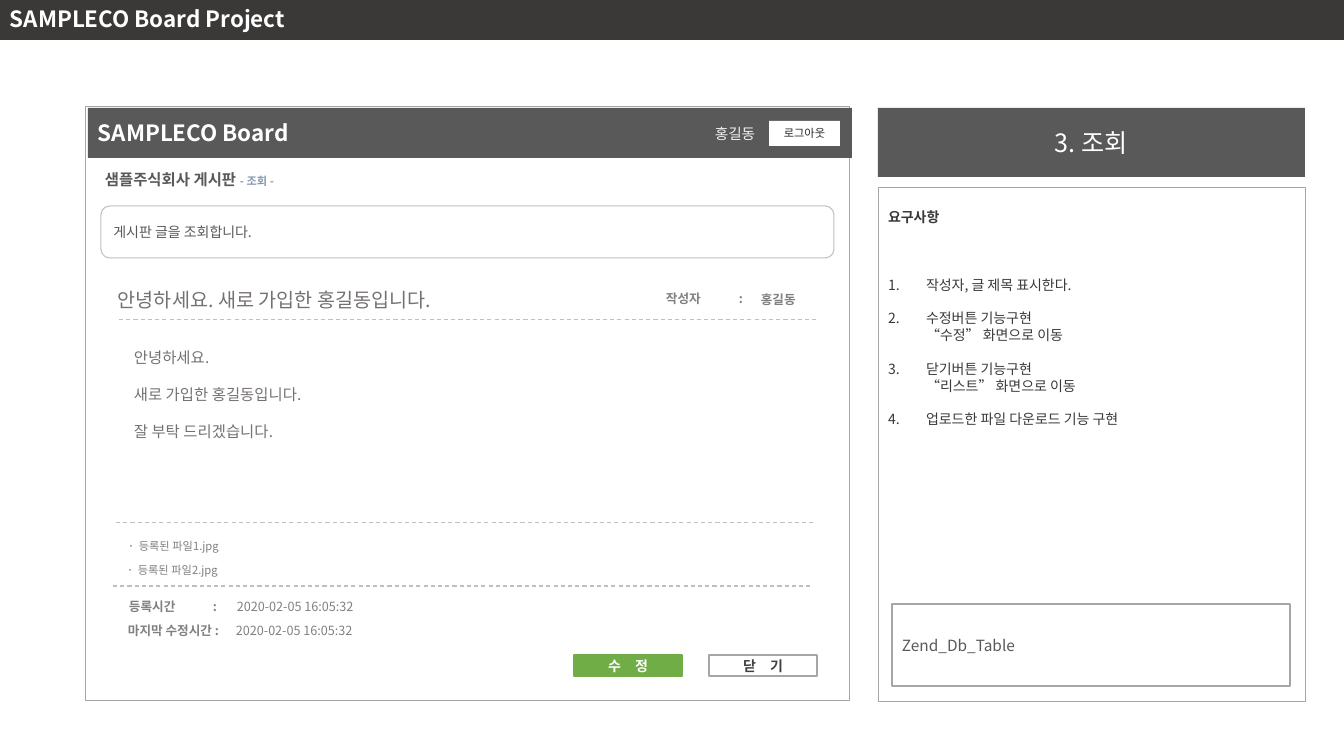
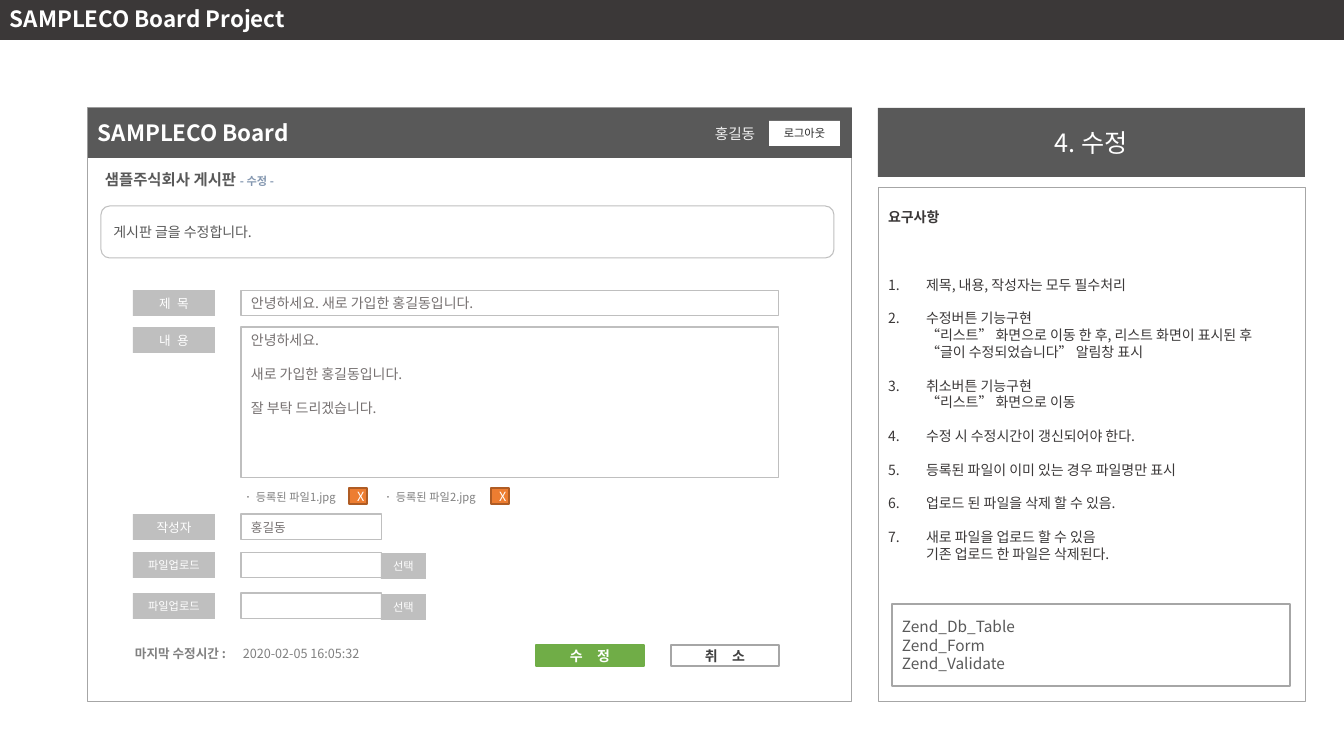
from dataclasses import dataclass

from lxml.etree import SubElement
from pptx import Presentation
from pptx.dml.color import RGBColor
from pptx.enum.dml import MSO_LINE
from pptx.enum.shapes import MSO_CONNECTOR, MSO_SHAPE
from pptx.enum.text import MSO_ANCHOR, MSO_AUTO_SIZE, PP_ALIGN
from pptx.oxml.ns import qn
from pptx.util import Inches, Pt

SCALE = Inches(1) / 100.8
LINE_HEIGHT = 1.2
LIST_INDENT = 38


@dataclass(frozen=True)
class Theme:
    """Colours, font and type sizes shared by the slides."""
    font: str = "Noto Sans CJK KR"
    white: str = "FFFFFF"
    pale: str = "F2F2F2"
    silver: str = "BFBFBF"
    border: str = "A6A6A6"
    muted: str = "808080"
    article: str = "767171"
    header: str = "595959"
    strong: str = "404040"
    ink: str = "3B3838"
    dark: str = "262626"
    crumb: str = "8497B0"
    accent: str = "70AD47"
    delete: str = "ED7D31"
    delete_edge: str = "AF5C24"
    tiny: float = 8
    small: float = 9
    normal: float = 10
    user: float = 10.5
    medium: float = 11
    headline: float = 14
    brand: float = 16
    title: float = 18


T = Theme()


def px(value):
    """Turn pixels into EMU."""
    return round(value * SCALE)


def style(size, color, bold=False):
    """Return the format values of a run."""
    return {"size": Pt(size), "bold": bold, "name": T.font, "color": color}


def format_run(r, fmt, tracking=0):
    """Apply format values, the East Asian font and letter spacing."""
    for name, value in fmt.items():
        if name == "color":
            r.font.color.rgb = RGBColor.from_string(value)
        else:
            setattr(r.font, name, value)
    r_pr = r._r.get_or_add_rPr()
    SubElement(r_pr, qn("a:ea"), typeface=T.font)
    if tracking:
        r_pr.set("spc", str(round(tracking * 100)))


def add_paragraph(tf, text, fmt, first=False, align=PP_ALIGN.LEFT, before=0,
                  after=0, tracking=0):
    """Write a paragraph; a list of (text, format) pairs gives mixed runs."""
    p = tf.paragraphs[0] if first else tf.add_paragraph()
    values = {"alignment": align, "space_before": Pt(before), "space_after": Pt(after)}
    for name, value in values.items():
        setattr(p, name, value)
    if isinstance(text, list):
        for part, part_fmt in text:
            r = p.add_run()
            r.text = part
            format_run(r, part_fmt)
        return p
    p.text = text
    for r in p.runs:
        format_run(r, fmt, tracking)
    for br in p._p.findall(qn("a:br")):
        SubElement(br, qn("a:rPr"), sz=str(int(fmt["size"].pt * 100)))
    return p


def set_frame(tf, anchor):
    """Set wrapping, fixed size and vertical anchor."""
    values = {"word_wrap": True, "auto_size": MSO_AUTO_SIZE.NONE,
              "vertical_anchor": anchor}
    for name, value in values.items():
        setattr(tf, name, value)


def write(tf, text, fmt, anchor=MSO_ANCHOR.TOP, **layout):
    """Fill a text frame with one or more paragraphs."""
    set_frame(tf, anchor)
    paragraphs = text if isinstance(text, tuple) else (text,)
    for i, paragraph in enumerate(paragraphs):
        add_paragraph(tf, paragraph, fmt, first=i == 0, **layout)


def paint(sp, fill=None, line=None, width=0.75):
    """Set fill and outline; None means no paint."""
    if fill:
        sp.fill.solid()
        sp.fill.fore_color.rgb = RGBColor.from_string(fill)
    else:
        sp.fill.background()
    if line:
        sp.line.color.rgb = RGBColor.from_string(line)
        sp.line.width = Pt(width)
    else:
        sp.line.fill.background()


def add_box(slide, at, fill=None, line=None, width=0.75, text=None, fmt=None,
            kind=MSO_SHAPE.RECTANGLE, anchor=MSO_ANCHOR.MIDDLE, **layout):
    """Add a painted shape with optional text."""
    sp = slide.shapes.add_shape(kind, *map(px, at))
    sp.shadow.inherit = False
    paint(sp, fill, line, width)
    if text:
        write(sp.text_frame, text, fmt, anchor, **layout)
    return sp


def add_text(slide, at, text, fmt, tab=None, **layout):
    """Add a text box, with a tab stop when one is given."""
    sp = slide.shapes.add_textbox(*map(px, at))
    tf = sp.text_frame
    write(tf, text, fmt, **layout)
    if tab:
        p_pr = tf.paragraphs[0]._p.get_or_add_pPr()
        tabs = SubElement(p_pr, qn("a:tabLst"))
        SubElement(tabs, qn("a:tab"), pos=str(px(tab)), algn="l")


def add_divider(slide, x, y):
    """Add a dashed horizontal rule."""
    cx = slide.shapes.add_connector(MSO_CONNECTOR.STRAIGHT,
                                    *map(px, (x, y, x + 697, y)))
    cx.line.color.rgb = RGBColor.from_string(T.silver)
    cx.line.width = Pt(0.75)
    cx.line.dash_style = MSO_LINE.DASH
    SubElement(cx._element.spPr, qn("a:effectLst"))


def place(sp, at):
    """Move and size a placeholder."""
    for name, value in zip(("left", "top", "width", "height"), at):
        setattr(sp, name, px(value))


def set_bullet(p, numbered):
    """Number a paragraph with a hanging indent, or clear its bullet."""
    indent = px(LIST_INDENT) if numbered else 0
    p_pr = p._p.get_or_add_pPr()
    p_pr.set("marL", str(indent))
    p_pr.set("indent", str(-indent))
    if numbered:
        SubElement(p_pr, qn("a:buAutoNum"), type="arabicPeriod")
    else:
        SubElement(p_pr, qn("a:buNone"))


def add_requirements(slide, title, items, classes):
    """Fill the right column: title, numbered requirements, class names."""
    heading = slide.shapes.title
    place(heading, (878, 108, 427, 69))
    paint(heading, T.header)
    write(heading.text_frame, title, style(T.title, T.white), MSO_ANCHOR.MIDDLE,
          align=PP_ALIGN.CENTER)

    body = slide.placeholders[1]
    place(body, (878, 187, 427, 514))
    paint(body, T.white, T.border, 0.5)
    tf = body.text_frame
    set_frame(tf, MSO_ANCHOR.TOP)
    tf.margin_top = px(22)
    gap = T.normal * LINE_HEIGHT
    p = add_paragraph(tf, "요구사항", style(T.normal, T.ink, True), first=True,
                      after=3 * gap)
    set_bullet(p, False)
    for item in items:
        p = add_paragraph(tf, item, style(T.normal, T.ink), after=gap)
        set_bullet(p, True)
    add_box(slide, (892, 604, 398, 82), T.white, T.border, 1, classes,
            style(T.medium, T.header))


def add_board(slide, frame, page, notice):
    """Draw the project band and the board window with its header."""
    add_box(slide, frame, T.white, T.border)
    brand = style(T.brand, T.white, True)
    add_box(slide, (88, 108, 764, 50), T.header, text="SAMPLECO Board", fmt=brand)
    add_box(slide, (769, 121, 71, 25), T.white, text="로그아웃",
            fmt=style(T.tiny, T.dark), align=PP_ALIGN.CENTER)
    add_text(slide, (705, 120, 74, 29), "홍길동", style(T.user, T.pale))
    crumb = [("샘플주식회사 게시판 ", style(T.medium, T.header, True)),
             (f"- {page} -", style(T.tiny, T.crumb, True))]
    add_text(slide, (95, 165, 252, 29), crumb, None)
    add_box(slide, (101, 206, 733, 52), T.white, T.silver, text=notice,
            fmt=style(T.normal, T.header), kind=MSO_SHAPE.ROUNDED_RECTANGLE)
    add_box(slide, (0, -3, 1344, 43), T.ink, text="SAMPLECO Board Project", fmt=brand)


def add_buttons(slide, x, y, cancel):
    """Add the edit button and the button that leaves the page."""
    looks = (("수 정", T.accent, T.accent, T.white), (cancel, None, T.border, T.strong))
    for i, (text, fill, line, color) in enumerate(looks):
        add_box(slide, (x + 135 * i, y, 108, 21), fill, line, 1, text,
                style(T.normal, color, True), align=PP_ALIGN.CENTER, tracking=4)


def add_file(slide, x, y, number):
    """Add the name of an uploaded file."""
    text = [("ㆍ ", style(T.tiny, T.ink)),
            (f"등록된 파일{number}.jpg", style(T.tiny, T.muted))]
    add_text(slide, (x, y, 121, 24), text, None)


def add_time(slide, x, y, label, tab=None):
    """Add a time label and its value."""
    add_text(slide, (x, y, 126, 25), label, style(T.small, T.muted, True), tab)
    add_text(slide, (x + 108, y, 140, 25), "2020-02-05 16:05:32",
             style(T.small, T.muted))


def add_label(slide, at, text, size, tracking=0):
    """Add a grey form label or file chooser."""
    add_box(slide, at, T.silver, text=text, fmt=style(size, T.white),
            align=PP_ALIGN.CENTER, tracking=tracking)


def add_field(slide, y, label, size, width, height=26, value=None,
              value_size=T.normal, tracking=0, **layout):
    """Add a form row: label and input."""
    add_label(slide, (133, y, 82, 26), label, size, tracking)
    add_box(slide, (241, y, width, height), T.white, T.silver, text=value,
            fmt=style(value_size, T.article), **layout)


GREETING = "안녕하세요. 새로 가입한 홍길동입니다."
MESSAGE = ("안녕하세요.", "새로 가입한 홍길동입니다.", "잘 부탁 드리겠습니다.")


def build_view(slide):
    """Build the page that shows a post."""
    add_requirements(slide, "3. 조회", (
        "작성자, 글 제목 표시한다.",
        "수정버튼 기능구현\v“수정” 화면으로 이동",
        "닫기버튼 기능구현\v“리스트” 화면으로 이동",
        "업로드한 파일 다운로드 기능 구현"), "Zend_Db_Table")
    add_board(slide, (86, 107, 764, 594), "조회", "게시판 글을 조회합니다.")
    add_text(slide, (108, 283, 564, 34), GREETING, style(T.headline, T.article))
    add_text(slide, (124, 343, 599, 122), MESSAGE, style(T.medium, T.article),
             after=T.medium * LINE_HEIGHT)
    author = style(T.small, T.muted, True)
    add_text(slide, (656, 286, 106, 25), "작성자\t:", author, tab=73)
    add_text(slide, (751, 287, 58, 25), "홍길동", author)
    for x, y in ((119, 320), (116, 523), (113, 586)):
        add_divider(slide, x, y)
    for number in (1, 2):
        add_file(slide, 117 - number, 510 + 24 * number, number)
    add_time(slide, 119, 594, "등록시간\t:", tab=84)
    add_time(slide, 118, 618, "마지막 수정시간 :")
    add_buttons(slide, 574, 655, "닫 기")


def build_edit(slide):
    """Build the page that edits a post."""
    add_requirements(slide, "4. 수정", (
        "제목, 내용, 작성자는 모두 필수처리",
        "수정버튼 기능구현\v“리스트” 화면으로 이동 한 후, 리스트 화면이 표시된 후"
        "\v“글이 수정되었습니다” 알림창 표시",
        "취소버튼 기능구현\v“리스트” 화면으로 이동",
        "수정 시 수정시간이 갱신되어야 한다.",
        "등록된 파일이 이미 있는 경우 파일명만 표시",
        "업로드 된 파일을 삭제 할 수 있음.",
        "새로 파일을 업로드 할 수 있음\v기존 업로드 한 파일은 삭제된다."),
        ("Zend_Db_Table", "Zend_Form", "Zend_Validate"))
    add_board(slide, (88, 108, 764, 594), "수정", "게시판 글을 수정합니다.")
    add_field(slide, 290, "제 목", T.small, 538, value=GREETING, tracking=1.3)
    add_field(slide, 327, "내 용", T.small, 538, 151, MESSAGE, tracking=1.3,
              anchor=MSO_ANCHOR.TOP, after=T.normal * LINE_HEIGHT)
    add_field(slide, 514, "작성자", T.small, 141, value="홍길동", value_size=T.small)
    for y in (552, 593):
        add_field(slide, y, "파일업로드", T.tiny, 141)
        add_label(slide, (381, y + 1, 45, 26), "선택", T.tiny)
    for i in range(2):
        add_file(slide, 233 + 140 * i, 485, i + 1)
        add_box(slide, (349 + 142 * i, 488, 18, 16), T.delete, T.delete_edge, 1, "X",
                style(T.small, T.white), align=PP_ALIGN.CENTER)
    add_time(slide, 125, 641, "마지막 수정시간 :")
    add_buttons(slide, 536, 645, "취 소")


def main():
    """Build and save the presentation."""
    prs = Presentation()
    prs.slide_width, prs.slide_height = px(1344), px(756)
    for build in (build_view, build_edit):
        build(prs.slides.add_slide(prs.slide_layouts[1]))
    prs.save("out.pptx")


main()
